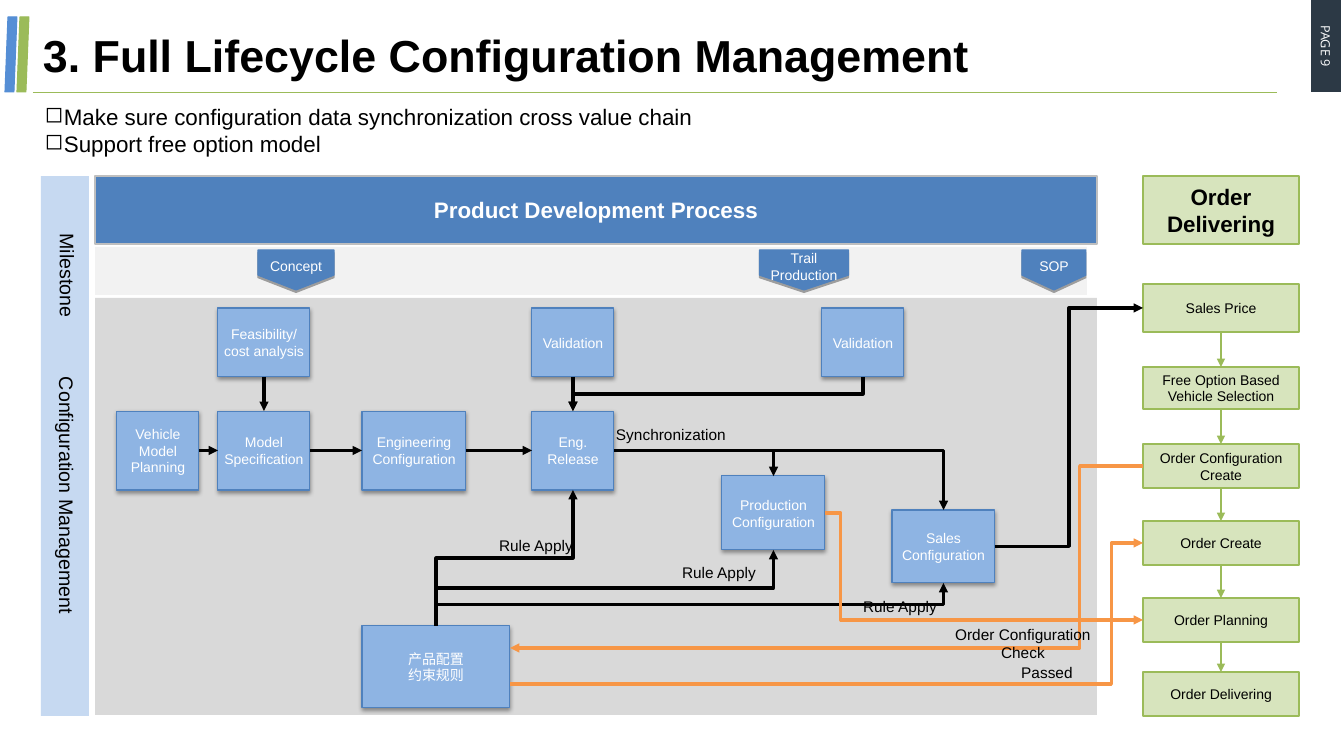
from lxml import etree
from pptx import Presentation
from pptx import util as u
from pptx.dml.color import RGBColor
from pptx.enum import shapes, text
from pptx.oxml import ns

SCALE = 914400 / 100.8
BLUE, BOX_BLUE, GREEN, PALE_GREEN = "4F81BD", "8EB4E3", "9BBB59", "D7E4BD"
BLACK, WHITE, ORANGE = "000000", "FFFFFF", "F79646"
TOP, LEFT, BOTTOM, RIGHT = range(4)
SITES = {TOP: (0.5, 0), LEFT: (0, 0.5), BOTTOM: (0.5, 1), RIGHT: (1, 0.5)}


def px(value):
    return round(value * SCALE)


def rgb(colour):
    return RGBColor.from_string(colour)


def add_xml(parent, tag, **attributes):
    element = etree.SubElement(parent, ns.qn(tag))
    for name, value in attributes.items():
        element.set(name, str(value))
    return element


def write(shape, lines, size, colour=BLACK, bold=False, font="Arial",
          align=text.PP_ALIGN.CENTER, anchor=text.MSO_ANCHOR.MIDDLE, wrap=True):
    frame = shape.text_frame
    frame.word_wrap = wrap
    frame.vertical_anchor = anchor
    frame.text = lines
    for paragraph in frame.paragraphs:
        paragraph.alignment = align
        paragraph.font.name = font
        paragraph.font.size = u.Pt(size)
        paragraph.font.bold = bold
        paragraph.font.color.rgb = rgb(colour)
    return frame


def add_box(slide, box, fill, line=None, line_width=0.75, preset="RECTANGLE"):
    shape = slide.shapes.add_shape(getattr(shapes.MSO_SHAPE, preset), *map(px, box))
    shape.shadow.inherit = False
    shape.fill.solid()
    shape.fill.fore_color.rgb = rgb(fill)
    if line:
        shape.line.color.rgb = rgb(line)
        shape.line.width = u.Pt(line_width)
    else:
        shape.line.fill.background()
    return shape


def add_shadow(shape, alpha, blur, distance):
    effects = shape._element.spPr.find(ns.qn("a:effectLst"))
    shadow = add_xml(effects, "a:outerShdw", blurRad=u.Pt(blur), dist=u.Pt(distance),
                     dir=5400000, rotWithShape=0)
    add_xml(add_xml(shadow, "a:srgbClr", val=BLACK), "a:alpha", val=alpha * 1000)


def add_text(slide, box, lines, size, **style):
    shape = slide.shapes.add_textbox(*map(px, box))
    write(shape, lines, size, **style)
    return shape


def add_line(slide, kind, ends, colour, width, arrow=True):
    line = slide.shapes.add_connector(kind, *map(round, ends))
    line.line.color.rgb = rgb(colour)
    line.line.width = u.Pt(width)
    if arrow:
        add_xml(line.line._get_or_add_ln(), "a:tailEnd", type="triangle")
    add_xml(line._element.spPr, "a:effectLst")
    return line


def site_point(shape, site, shift):
    across, down = SITES[site]
    return shape.left + across * shape.width, shape.top + down * shape.height + px(shift)


def link(slide, start, start_site, end, end_site, colour=BLACK, width=2.25,
         bend=0.5, start_shift=0, end_shift=0):
    """Arrow between two sides; bend is the share of the way to the turn."""
    x1, y1 = site_point(start, start_site, start_shift)
    x2, y2 = site_point(end, end_site, end_shift)
    if min(abs(x2 - x1), abs(y2 - y1)) < px(3):
        line = add_line(slide, shapes.MSO_CONNECTOR.STRAIGHT, (x1, y1, x2, y2), colour, width)
        line.begin_connect(start, start_site)
        line.end_connect(end, end_site)
        return
    vertical = start_site in (TOP, BOTTOM)
    ends = (x1, y1, x2, y2)
    if vertical:  # a turned connector: its length runs along the slide's height
        centre_x, centre_y = (x1 + x2) / 2, (y1 + y2) / 2
        half_x, half_y = abs(y2 - y1) / 2, abs(x2 - x1) / 2
        ends = (centre_x - half_x, centre_y - half_y, centre_x + half_x, centre_y + half_y)
    line = add_line(slide, shapes.MSO_CONNECTOR.ELBOW, ends, colour, width)
    properties = line._element.spPr
    if vertical:
        properties.find(ns.qn("a:xfrm")).set("rot", str((90 if y2 > y1 else 270) * 60000))
    geometry = properties.find(ns.qn("a:prstGeom"))
    if vertical or end_site in (LEFT, RIGHT):
        add_xml(geometry.find(ns.qn("a:avLst")), "a:gd", name="adj1",
                fmla=f"val {round(bend * 100000)}")
    else:
        geometry.set("prst", "bentConnector2")


def heading(slide, left, top):
    # Stripes, rule and title
    for offset, colour in ((12, GREEN), (0, "558ED5")):
        add_box(slide, (left + offset, top, 12, 75), colour, colour, preset="PARALLELOGRAM")
    rule = (left + 28, top + 76, left + 1272, top + 76)
    add_line(slide, shapes.MSO_CONNECTOR.STRAIGHT, map(px, rule), GREEN, 0.75, arrow=False)
    add_text(slide, (left + 28, top, 1243, 75), "3. Full Lifecycle Configuration Management",
             32, bold=True, align=text.PP_ALIGN.LEFT)
    # Page tag
    tag = add_box(slide, (left + 1275, top + 14, 92, 30), "2C3945")
    tag.rotation = 90
    write(tag, "PAGE 9", 9, WHITE, font="Open Sans")
    # Key points
    points = add_text(slide, (left + 30, top + 81, 1242, 64),
                      "Make sure configuration data synchronization cross value chain\n"
                      "Support free option model", 16, align=text.PP_ALIGN.LEFT,
                      anchor=text.MSO_ANCHOR.TOP)
    for paragraph in points.text_frame.paragraphs:
        properties = paragraph._p.get_or_add_pPr()
        properties.set("marL", str(px(19)))
        properties.set("indent", str(-px(19)))
        bullet = etree.Element(ns.qn("a:buChar"), char="◻")
        properties.insert(0, bullet)


def side_bar(slide, left, top):
    add_box(slide, (left, top, 48, 540), "C6D9F1")
    milestone = add_text(slide, (left - 38, top + 95, 129, 34), "Milestone", 14,
                         align=text.PP_ALIGN.LEFT, anchor=text.MSO_ANCHOR.TOP)
    milestone.rotation = 90
    frame = add_text(slide, (left + 4, top + 191, 44, 350), "Configuration Management", 14,
                     align=text.PP_ALIGN.LEFT).text_frame
    frame._txBody.bodyPr.set("vert", "eaVert")


def milestones(slide, left, top):
    header = add_box(slide, (left, top, 1002, 68), BLUE, "BFBFBF", 1)
    write(header, "Product Development Process", 16, WHITE, bold=True)
    add_box(slide, (left, top + 71, 992, 48), "F2F2F2")
    for label, centre, width in (("Concept", 201, 76), ("Trail Production", 709, 89),
                                 ("SOP", 959, 64)):
        box = (left + centre - 20, top + 94 - width / 2, 40, width)
        flag = add_box(slide, box, BLUE, BLUE, preset="PENTAGON")
        flag.rotation = 90
        flag.adjustments[0] = 0.37
        add_shadow(flag, 34, 0, 1.8)
        frame = write(flag, label, 10, WHITE)
        frame.margin_top = frame.margin_bottom = 0
        frame._txBody.bodyPr.set("vert", "vert270")


def process(slide, left, top):
    add_box(slide, (left, top, 1002, 417), "D9D9D9")
    steps = {}
    for name, label, x, y, width, height in (
            ("feasibility", "Feasibility/ cost analysis", 123, 10, 92, 69),
            ("validation", "Validation", 437, 10, 82, 69),
            ("late validation", "Validation", 727, 10, 82, 69),
            ("planning", "Vehicle Model Planning", 22, 113, 82, 79),
            ("model", "Model Specification", 123, 113, 92, 79),
            ("engineering", "Engineering Configuration", 267, 113, 104, 79),
            ("release", "Eng. Release", 437, 113, 82, 79),
            ("production", "Production Configuration", 627, 178, 103, 74),
            ("sales", "Sales Configuration", 797, 212, 103, 73),
            ("rules", "产品配置\n约束规则", 267, 328, 148, 82)):
        step = add_box(slide, (left + x, top + y, width, height), BOX_BLUE, BLUE)
        add_shadow(step, 38, 3.1, 1.6)
        frame = write(step, label, 10, WHITE)
        frame.margin_left = frame.margin_right = px(4)
        steps[name] = step
    for start, start_site, end, end_site in (
            ("planning", RIGHT, "model", LEFT), ("model", RIGHT, "engineering", LEFT),
            ("engineering", RIGHT, "release", LEFT), ("feasibility", BOTTOM, "model", TOP),
            ("validation", BOTTOM, "release", TOP), ("late validation", BOTTOM, "release", TOP),
            ("release", RIGHT, "production", TOP), ("release", RIGHT, "sales", TOP),
            ("rules", TOP, "release", BOTTOM), ("rules", TOP, "production", BOTTOM),
            ("rules", TOP, "sales", BOTTOM)):
        link(slide, steps[start], start_site, steps[end], end_site)
    return steps


def orders(slide, left, top):
    header = add_box(slide, (left, top, 156, 68), PALE_GREEN, GREEN, 1)
    write(header, "Order Delivering", 16, bold=True)
    steps = []
    for label, y, height in (("Sales Price", 108, 48),
                             ("Free Option Based Vehicle Selection", 191, 42),
                             ("Order Configuration Create", 268, 44), ("Order Create", 345, 44),
                             ("Order Planning", 422, 44), ("Order Delivering", 496, 44)):
        step = add_box(slide, (left, top + y, 156, height), PALE_GREEN, GREEN, 1)
        write(step, label, 10)
        steps.append(step)
    for upper, lower in zip(steps, steps[1:]):
        link(slide, upper, BOTTOM, lower, TOP, GREEN, 1)
    return steps


def handoffs(slide, left, top, steps, order_steps):
    price, _, configure, create, planning, _ = order_steps
    rules = steps["rules"]
    link(slide, steps["sales"], RIGHT, price, LEFT)
    link(slide, configure, LEFT, rules, RIGHT, ORANGE, bend=0.1, end_shift=-19)
    link(slide, rules, RIGHT, create, LEFT, ORANGE, bend=0.95, start_shift=17)
    link(slide, steps["production"], RIGHT, planning, LEFT, ORANGE, bend=0.05)
    # Arrow labels, centred on x
    for label, x, y in (("Synchronization", 576, 122), ("Rule Apply", 441, 233),
                        ("Rule Apply", 624, 260), ("Rule Apply", 805, 294),
                        ("Order Configuration Check", 928, 322), ("Passed", 952, 360)):
        add_text(slide, (left + x - 100, top + y, 200, 29), label, 11, wrap=False,
                 anchor=text.MSO_ANCHOR.TOP)


presentation = Presentation()
presentation.slide_width, presentation.slide_height = px(1344), px(756)
slide = presentation.slides.add_slide(presentation.slide_layouts[6])
heading(slide, 5, 17)
side_bar(slide, 41, 176)
milestones(slide, 95, 176)
process_steps = process(slide, 95, 298)
order_steps = orders(slide, 1143, 176)
handoffs(slide, 95, 298, process_steps, order_steps)
presentation.save("out.pptx")
